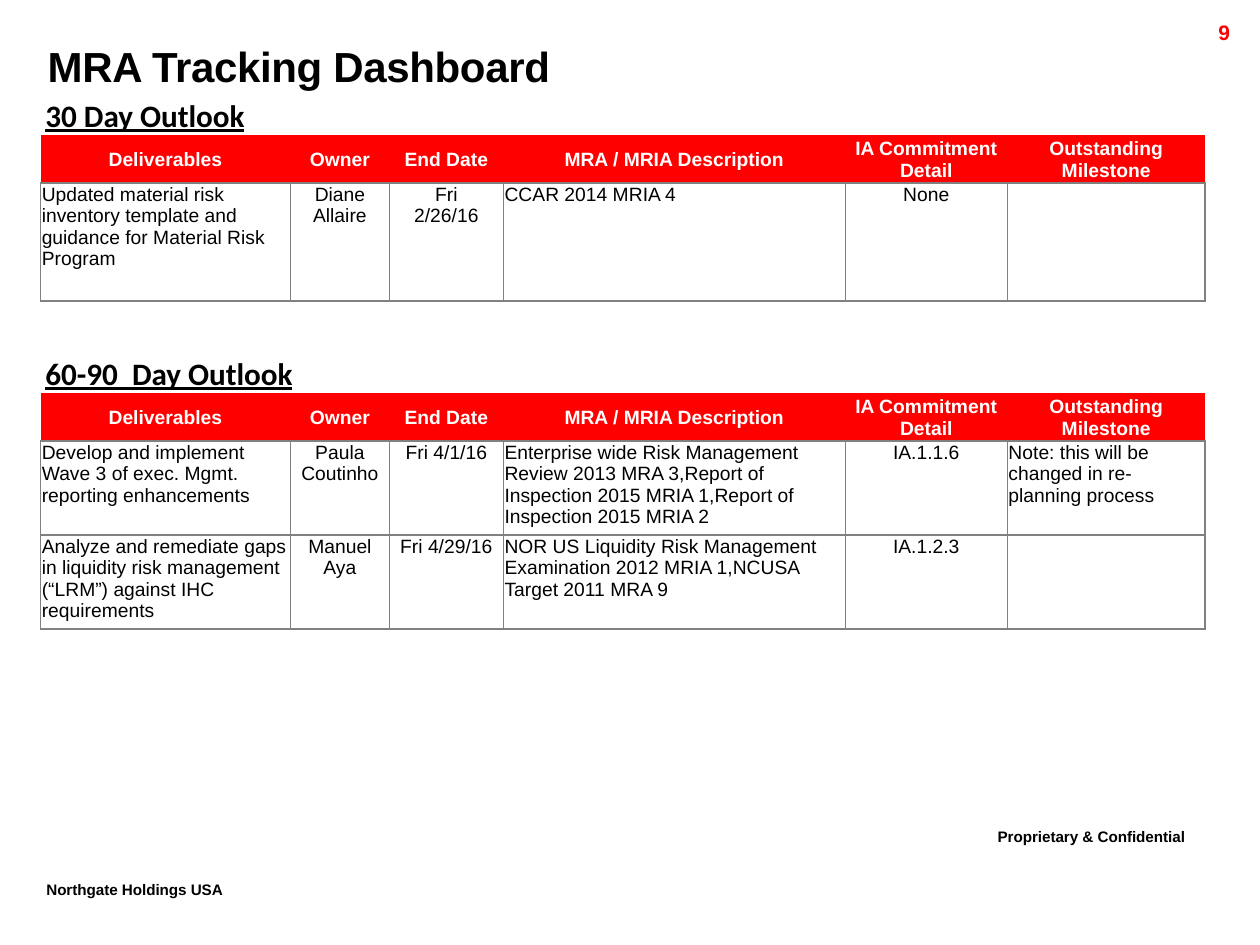
import pptx
import pptx.dml.color
import pptx.enum.text
import pptx.oxml
import pptx.oxml.ns
import pptx.util

Pt = pptx.util.Pt
ALIGN = pptx.enum.text.PP_ALIGN
ANCHOR = pptx.enum.text.MSO_ANCHOR

BLACK, WHITE, RED, GREY = "000000", "FFFFFF", "FF0000", "808080"
HEADERS = ["Deliverables", "Owner", "End Date", "MRA / MRIA Description",
           "IA Commitment Detail", "Outstanding Milestone"]
COLUMN_WIDTHS = [142.8, 56.6, 65.1, 195.4, 92.6, 113.1]
LEFT_COLUMNS = {0, 3, 5}
HEADER_HEIGHT = 26.9

THIRTY_DAY_ROWS = [
    ["Updated material risk inventory template and guidance for Material Risk Program",
     "Diane Allaire", "Fri\n2/26/16", "CCAR 2014 MRIA 4", "None", ""],
]
NINETY_DAY_ROWS = [
    ["Develop and implement Wave 3 of exec. Mgmt. reporting enhancements",
     "Paula Coutinho", "Fri 4/1/16",
     "Enterprise wide Risk Management Review 2013 MRA 3,Report of Inspection 2015 "
     "MRIA 1,Report of Inspection 2015 MRIA 2",
     "IA.1.1.6", "Note: this will be changed in re-planning process"],
    ["Analyze and remediate gaps in liquidity risk management (“LRM”) against IHC requirements",
     "Manuel Aya", "Fri 4/29/16",
     "NOR US Liquidity Risk Management Examination 2012 MRIA 1,NCUSA Target 2011 MRA 9",
     "IA.1.2.3", ""],
]


def color(value):
    return pptx.dml.color.RGBColor.from_string(value)


def style_font(font, size, value=BLACK, bold=True, name="Arial"):
    font.name, font.size, font.bold = name, Pt(size), bold
    font.color.rgb = color(value)


def add_text(page, box, text, size, value=BLACK, name="Arial", align=ALIGN.LEFT):
    """Add a one-line text box and return its paragraph."""
    frame = page.shapes.add_textbox(*map(Pt, box)).text_frame
    frame.word_wrap = True
    para = frame.paragraphs[0]
    para.text, para.alignment = text, align
    style_font(para.font, size, value, name=name)
    return para


def set_borders(cell, visible):
    """Draw the named sides (L, R, T, B) in grey and clear the others."""
    properties = cell._tc.get_or_add_tcPr()
    for index, side in enumerate("LRTB"):
        fill = (f'<a:solidFill><a:srgbClr val="{GREY}"/></a:solidFill>'
                if side in visible else "<a:noFill/>")
        line = pptx.oxml.parse_xml(
            f'<a:ln{side} {pptx.oxml.ns.nsdecls("a")} w="{Pt(1)}">{fill}</a:ln{side}>')
        properties.insert(index, line)


def fill_cell(cell, text, is_header, align):
    cell.margin_left = cell.margin_right = cell.margin_top = Pt(0.7)
    cell.margin_bottom = Pt(0)
    cell.vertical_anchor = ANCHOR.MIDDLE if is_header else ANCHOR.TOP
    if is_header:
        cell.fill.solid()
        cell.fill.fore_color.rgb = color(RED)
    else:
        cell.fill.background()
    set_borders(cell, "B" if is_header else "LRTB")
    cell.text = text
    for para in cell.text_frame.paragraphs:
        para.alignment = align
        style_font(para.font, 11, WHITE if is_header else BLACK, bold=is_header)


def add_outlook(page, box, heading, rows, row_height):
    """Place an underlined heading with its tracking table below."""
    left, top, width = box
    # Heading
    para = add_text(page, (left - 4.3, top, width, 21.6), heading, 17.8, name="Calibri")
    para.font.underline = True
    para.line_spacing = 0.9

    # Table
    heights = [HEADER_HEIGHT] + [row_height] * len(rows)
    table = page.shapes.add_table(
        len(heights), len(HEADERS), Pt(left), Pt(top + 23.4),
        Pt(width), Pt(sum(heights))).table
    table.first_row = table.horz_banding = False
    for column, column_width in zip(table.columns, COLUMN_WIDTHS):
        column.width = Pt(column_width)
    for r, (values, height) in enumerate(zip([HEADERS] + rows, heights)):
        table.rows[r].height = Pt(height)
        for c, text in enumerate(values):
            is_left = r > 0 and c in LEFT_COLUMNS
            fill_cell(table.cell(r, c), text, r == 0,
                      ALIGN.LEFT if is_left else ALIGN.CENTER)


def add_title(page, box):
    para = add_text(page, box, "MRA Tracking Dashboard", 24)
    para.font._element.set("spc", "-20")


def add_footer(page, box, text):
    para = add_text(page, box, text, 15)
    para.font._element.set("baseline", "30000")


def main():
    deck = pptx.Presentation()
    deck.slide_width, deck.slide_height = Pt(720), Pt(540)
    page = deck.slides.add_slide(deck.slide_layouts[6])

    # Footers and page number
    add_footer(page, (563, 467.3, 157, 25.2), "Proprietary & Confidential")
    add_footer(page, (19.4, 497.5, 137.5, 25.2), "Northgate Holdings USA")
    add_text(page, (641.5, 7.9, 68.4, 17.3), "9", 12, RED, align=ALIGN.RIGHT)

    # Title and outlook tables
    add_title(page, (20.2, 19.4, 667.4, 36))
    table_width = sum(COLUMN_WIDTHS)
    add_outlook(page, (23.2, 54, table_width), "30 Day Outlook", THIRTY_DAY_ROWS, 67.4)
    add_outlook(page, (23.2, 201.4, table_width), "60-90  Day Outlook", NINETY_DAY_ROWS, 53.7)

    deck.save("out.pptx")


if __name__ == "__main__":
    main()
